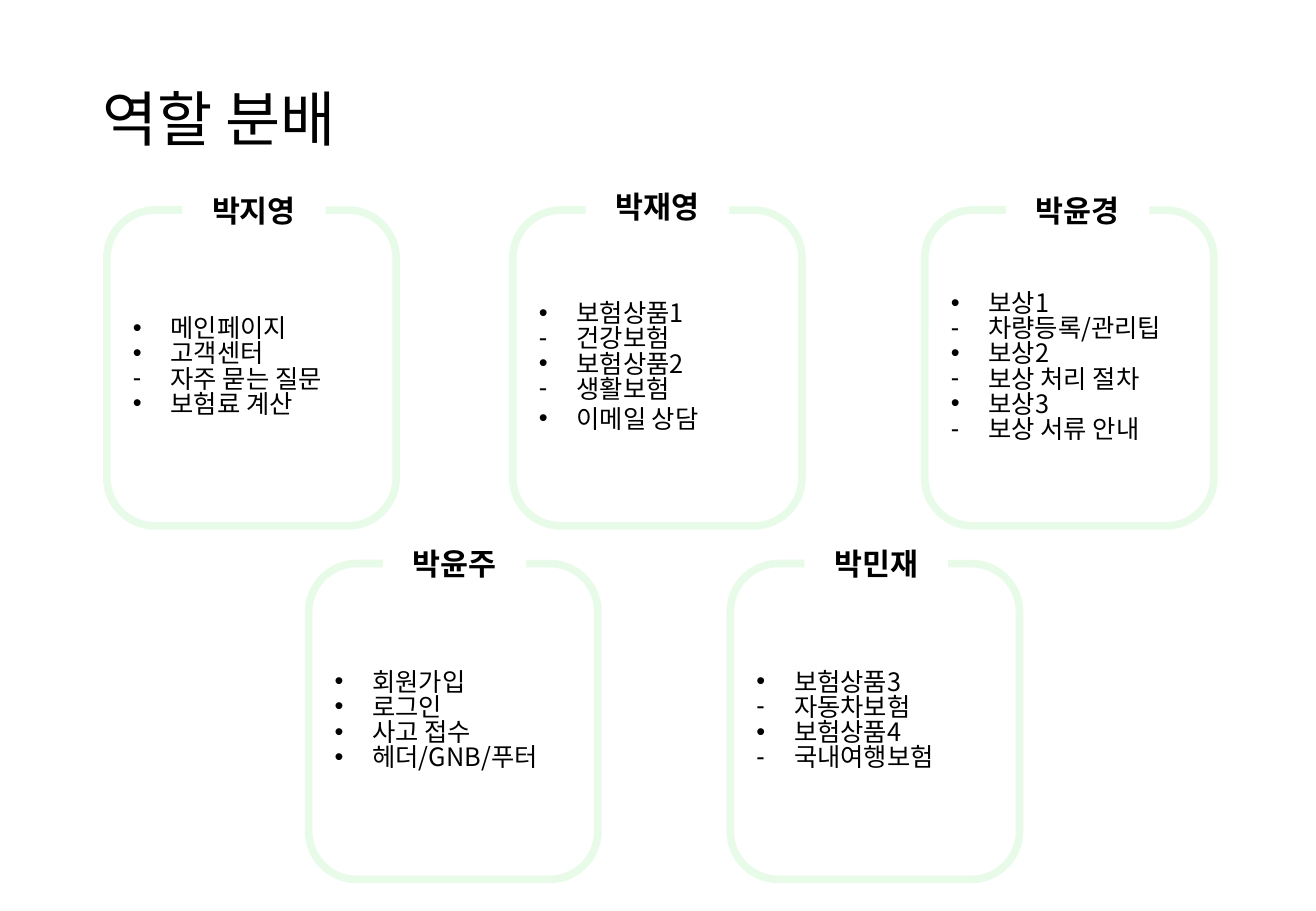
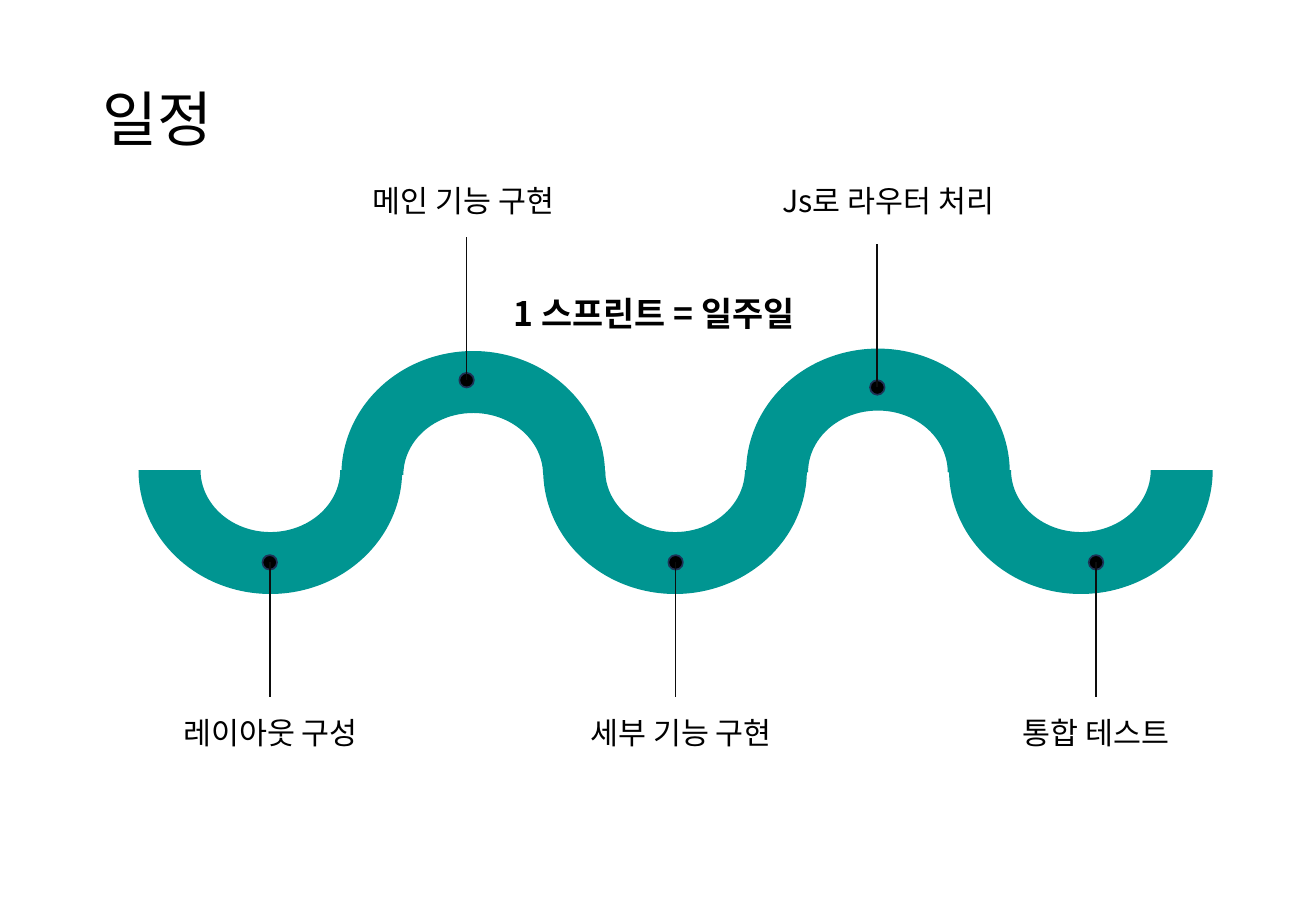
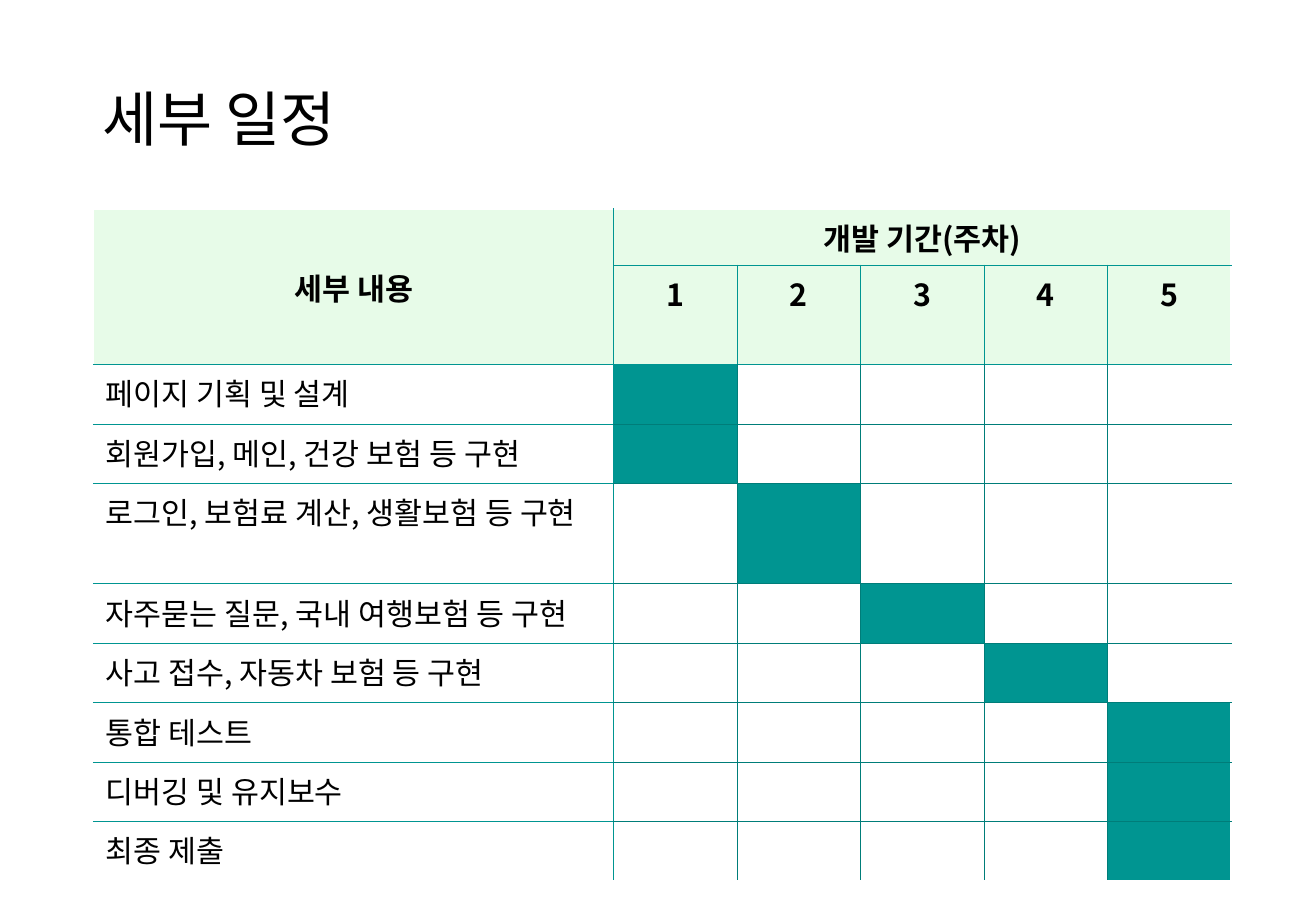
"""Build three project slides: roles, sprint timeline and detailed schedule."""
import lxml.etree
import pptx
import pptx.dml.color
import pptx.enum.shapes
import pptx.enum.text
import pptx.oxml.ns
import pptx.util

PX = 9144
FONT = "Noto Sans CJK KR"
RGB = pptx.dml.color.RGBColor
BLACK = RGB(0x00, 0x00, 0x00)
WHITE = RGB(0xFF, 0xFF, 0xFF)
MINT = RGB(0xE7, 0xFB, 0xE8)
TEAL = RGB(0x00, 0x95, 0x91)
DARK_TEAL = RGB(0x00, 0x7D, 0x79)
NAVY = RGB(0x1E, 0x32, 0x56)
INK = RGB(0x0D, 0x0D, 0x0D)
Pt = pptx.util.Pt
qn = pptx.oxml.ns.qn
SubElement = lxml.etree.SubElement
SHAPE = pptx.enum.shapes.MSO_SHAPE
LEFT = pptx.enum.text.PP_ALIGN.LEFT
CENTER = pptx.enum.text.PP_ALIGN.CENTER
MIDDLE = pptx.enum.text.MSO_ANCHOR.MIDDLE


def write(p, text, size, bold=False, align=LEFT):
    p.alignment = align
    r = p.add_run()
    r.text = text
    r.font.size = Pt(size)
    r.font.bold = bold
    r.font.color.rgb = BLACK
    r.font.name = FONT
    SubElement(r._r.get_or_add_rPr(), qn("a:ea"), typeface=FONT)


def add_shape(s, kind, box, fill, line=None, width=1):
    sp = s.shapes.add_shape(kind, *[v * PX for v in box])
    sp.shadow.inherit = False
    sp.fill.solid()
    sp.fill.fore_color.rgb = fill
    if line is None:
        sp.line.fill.background()
    else:
        sp.line.color.rgb = line
        sp.line.width = Pt(width)
    return sp


prs = pptx.Presentation()
prs.slide_width = 1083 * PX
prs.slide_height = 750 * PX

slides = []
for title in ("역할 분배", "일정", "세부 일정"):
    s = prs.slides.add_slide(prs.slide_layouts[5])
    sp = s.shapes.title
    sp.left, sp.top, sp.width, sp.height = [v * PX for v in (74, 28, 934, 145)]
    tf = sp.text_frame
    tf.auto_size = pptx.enum.text.MSO_AUTO_SIZE.NONE
    tf.vertical_anchor = MIDDLE
    tf.paragraphs[0].line_spacing = 0.9
    write(tf.paragraphs[0], title, 35.5)
    slides.append(s)
roles, timeline, schedule = slides

members = [
    ("박지영", 88, 173, 150, 151,
     ["•메인페이지", "•고객센터", "-자주 묻는 질문", "•보험료 계산"]),
    ("박재영", 422, 173, 482, 148,
     ["•보험상품1", "-건강보험", "•보험상품2", "-생활보험", "•이메일 상담"]),
    ("박윤경", 761, 173, 828, 151,
     ["•보상1", "-차량등록/관리팁", "•보상2", "-보상 처리 절차",
      "•보상3", "-보상 서류 안내"]),
    ("박윤주", 254, 464, 315, 442,
     ["•회원가입", "•로그인", "•사고 접수", "•헤더/GNB/푸터"]),
    ("박민재", 601, 464, 662, 442,
     ["•보험상품3", "-자동차보험", "•보험상품4", "-국내여행보험"]),
]
for name, x, y, tag_x, tag_y, tasks in members:
    card = add_shape(roles, SHAPE.ROUNDED_RECTANGLE, (x, y, 238, 260), WHITE, MINT, 4.5)
    tf = card.text_frame
    tf.vertical_anchor = MIDDLE
    for i, task in enumerate(tasks):
        p = tf.add_paragraph() if i else tf.paragraphs[0]
        pPr = p._p.get_or_add_pPr()
        pPr.set("marL", str(31 * PX))
        pPr.set("indent", str(-31 * PX))
        SubElement(pPr, qn("a:buFont"), typeface="Arial")
        SubElement(pPr, qn("a:buChar"), char=task[0])
        p.line_spacing = 0.83
        if task == "•이메일 상담":
            p.space_before = Pt(3)
        write(p, task[1:], 15)
    tag = add_shape(roles, SHAPE.RECTANGLE, (tag_x, tag_y, 118, 44), WHITE)
    tag.text_frame.vertical_anchor = MIDDLE
    write(tag.text_frame.paragraphs[0], name, 18, True, CENTER)

for i, (x, y) in enumerate([(114, 285), (281, 289), (447, 285), (614, 287), (781, 285)]):
    arc = add_shape(timeline, SHAPE.BLOCK_ARC, (x, y, 217, 204), TEAL)
    arc.rotation = 0 if i % 2 else 180

pins = [(222, 463, 574), (384, 313, 195), (556, 463, 574), (722, 319, 201), (902, 463, 574)]
for x, y, end in pins:
    add_shape(timeline, SHAPE.OVAL, (x - 6, y - 6, 12, 12), BLACK, NAVY)
    stem = timeline.shapes.add_connector(
        pptx.enum.shapes.MSO_CONNECTOR.STRAIGHT, *[v * PX for v in (x, y, x, end)])
    stem.line.color.rgb = INK
    stem.line.width = Pt(1)
    SubElement(stem._element.spPr, qn("a:effectLst"))

labels = [
    ("레이아웃 구성", 141, 583, 188, 18),
    ("메인 기능 구현", 297, 145, 188, 18),
    ("세부 기능 구현", 476, 583, 188, 18),
    ("Js로 라우터 처리", 634, 145, 215, 18),
    ("통합 테스트", 832, 583, 188, 18),
    ("1 스프린트 = 일주일", 413, 236, 296, 20),
]
for text, x, y, width, size in labels:
    label = timeline.shapes.add_textbox(*[v * PX for v in (x, y, width, 2 * size + 4)])
    label.text_frame.word_wrap = True
    write(label.text_frame.paragraphs[0], text, size, size == 20)

tasks = [
    ("페이지 기획 및 설계", 1),
    ("회원가입, 메인, 건강 보험 등 구현", 1),
    ("로그인, 보험료 계산, 생활보험 등 구현", 2),
    ("자주묻는 질문, 국내 여행보험 등 구현", 3),
    ("사고 접수, 자동차 보험 등 구현", 4),
    ("통합 테스트", 5),
    ("디버깅 및 유지보수", 5),
    ("최종 제출", 5),
]
heights = [46, 82, 49, 49, 82, 49, 49, 49, 49, 49]
rows, cols = len(heights), 6
frame = schedule.shapes.add_table(
    rows, cols, *[v * PX for v in (77, 172, 936, sum(heights))])
table = frame.table
table.first_row = False
table.horz_banding = False
for r, height in enumerate(heights):
    table.rows[r].height = height * PX
for c in range(cols):
    table.columns[c].width = 508 * PX // 5 if c else 428 * PX

for r in range(rows):
    for c in range(cols):
        cell = table.cell(r, c)
        tcPr = cell._tc.get_or_add_tcPr()
        for side, edge, last in (("L", c, cols), ("R", c + 1, cols),
                                 ("T", r, rows), ("B", r + 1, rows)):
            upright = side in "LR"
            if edge in (0, last) or (upright and r == 0 and edge > 1):
                continue
            heading = (r < 2 or edge == 1) if upright else (c == 0 or edge <= 2)
            ln = SubElement(tcPr, qn("a:ln" + side), w=str(Pt(0.5)))
            fill = SubElement(ln, qn("a:solidFill"))
            SubElement(fill, qn("a:srgbClr"), val=str(TEAL if heading else DARK_TEAL))
        cell.fill.solid()
        if r < 2:
            cell.fill.fore_color.rgb = MINT
        else:
            cell.fill.fore_color.rgb = TEAL if c == tasks[r - 2][1] else WHITE

table.cell(0, 0).merge(table.cell(1, 0))
table.cell(0, 1).merge(table.cell(0, 5))
table.cell(0, 0).vertical_anchor = MIDDLE
headings = [(0, 0, "세부 내용"), (0, 1, "개발 기간(주차)")]
headings += [(1, week, str(week)) for week in range(1, cols)]
for r, c, text in headings:
    write(table.cell(r, c).text_frame.paragraphs[0], text, 18, True, CENTER)
for r, (text, week) in enumerate(tasks, 2):
    write(table.cell(r, 0).text_frame.paragraphs[0], text, 18)

prs.save("out.pptx")
